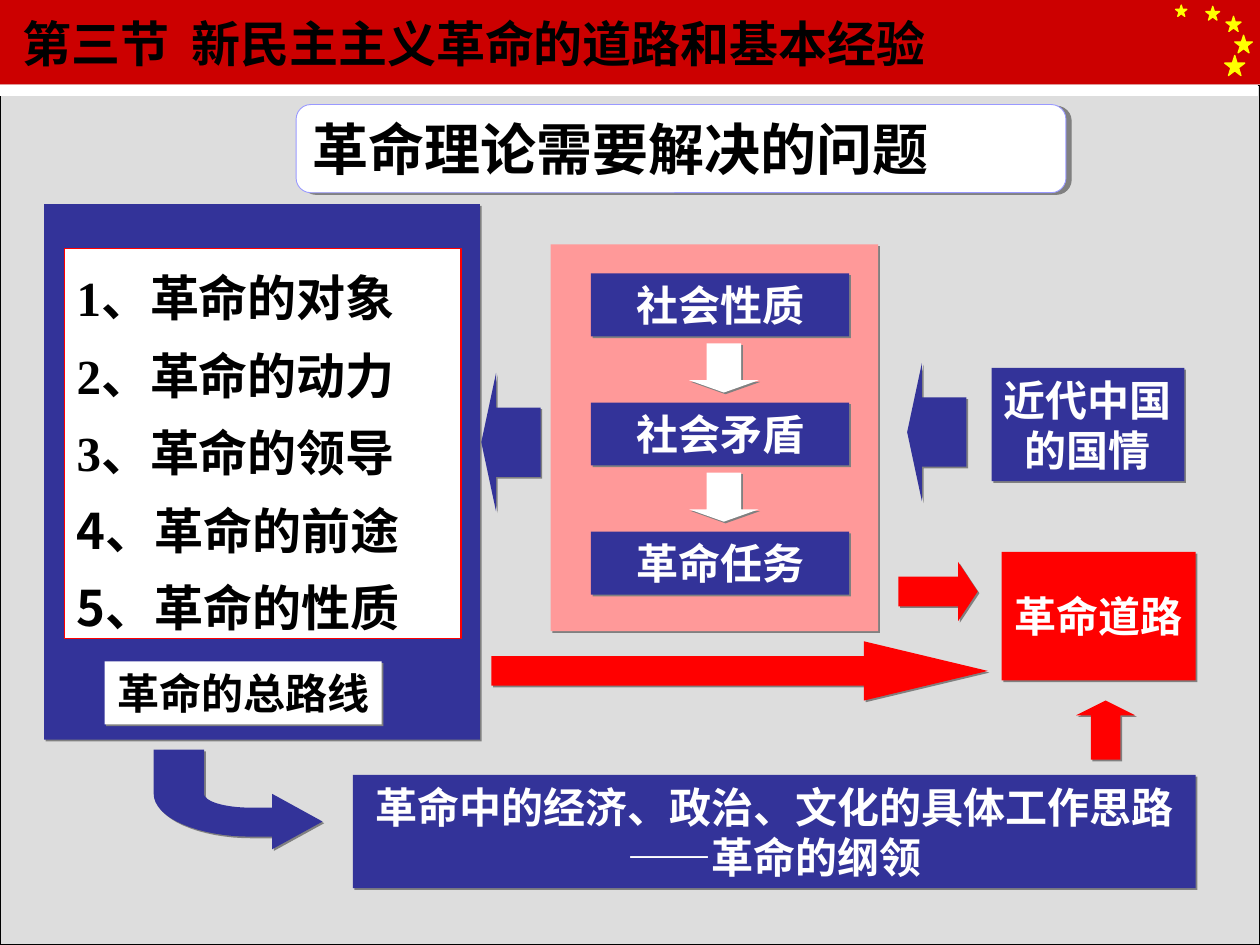
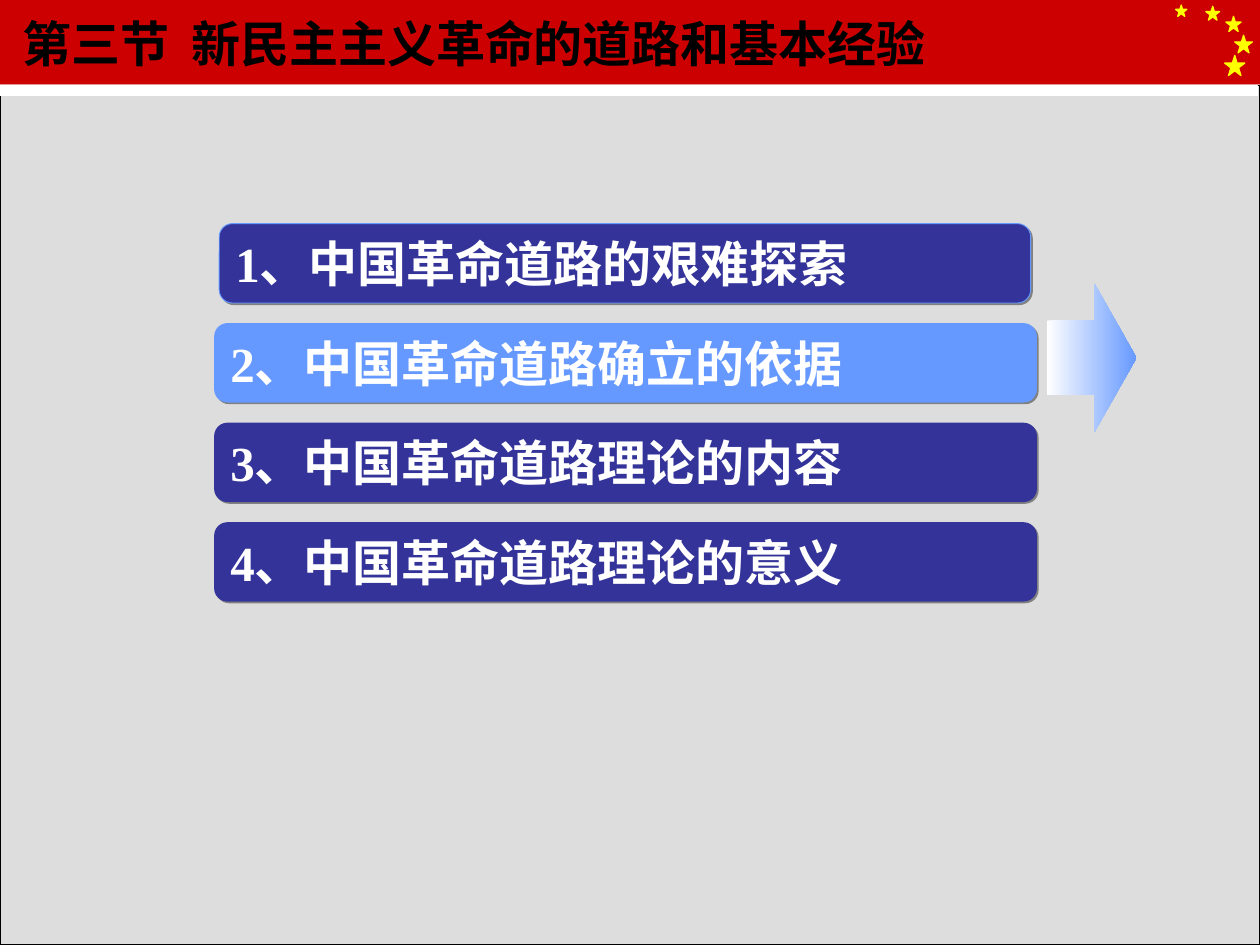
import math

import lxml.etree
import pptx
import pptx.dml.color
import pptx.enum.shapes
import pptx.enum.text
import pptx.oxml.ns
import pptx.util

COLORS = {
    "background": "EAEAEA", "panel": "DDDDDD", "band": "CC0000", "star": "FFFF00",
    "navy": "333399", "sky": "6699FF", "pink": "FF9999", "red": "FF0000",
    "lilac": "9999FF", "shadow": "808080", "white": "FFFFFF", "black": "000000",
}
RGB = {name: pptx.dml.color.RGBColor.from_string(value) for name, value in COLORS.items()}
LATIN, CHINESE = "Times New Roman", "Noto Sans CJK SC"
SHAPE = pptx.enum.shapes.MSO_SHAPE
ALIGN = pptx.enum.text.PP_ALIGN
SOFT = (1.4, 45)  # shadow distance in points, direction in degrees

presentation = pptx.Presentation()
presentation.slide_width = pptx.util.Inches(10)
presentation.slide_height = pptx.util.Inches(7.5)
COLUMN = presentation.slide_width / 100
ROW = presentation.slide_height / 75


def draw(slide, kind, box, fill, line=None, width=0.75, shadow=None, adjust=()):
    """Add a preset shape (or finish a given one); box is in columns and rows."""
    if box:
        left, top, wide, high = box
        shape = slide.shapes.add_shape(kind, int(left * COLUMN), int(top * ROW),
                                       int(wide * COLUMN), int(high * ROW))
    else:
        shape = kind
    for index, value in enumerate(adjust):
        shape.adjustments[index] = value
    shape.fill.solid()
    shape.fill.fore_color.rgb = RGB[fill]
    if line:
        shape.line.color.rgb = RGB[line]
        shape.line.width = pptx.util.Pt(width)
    else:
        shape.line.fill.background()
    shape.shadow.inherit = False
    if shadow:
        distance, degrees = shadow
        effects = shape._element.spPr.find(pptx.oxml.ns.qn("a:effectLst"))
        outer = lxml.etree.SubElement(
            effects, pptx.oxml.ns.qn("a:outerShdw"),
            dist=str(int(distance * 12700)), dir=str(degrees * 60000),
            algn="ctr", rotWithShape="0")
        lxml.etree.SubElement(outer, pptx.oxml.ns.qn("a:srgbClr"), val=COLORS["shadow"])
    return shape


def write(shape, lines, size, color, align=ALIGN.CENTER, anchor="MIDDLE", spacing=None,
          before=0, latin=LATIN):
    frame = shape.text_frame
    frame.word_wrap = align == ALIGN.LEFT
    frame.vertical_anchor = pptx.enum.text.MSO_ANCHOR[anchor]
    font_format = {"name": latin, "size": pptx.util.Pt(size), "bold": True}
    for index, line in enumerate(lines):
        paragraph = frame.add_paragraph() if index else frame.paragraphs[0]
        paragraph.alignment = align
        if spacing:
            paragraph.line_spacing = pptx.util.Pt(spacing)
        if index and before:
            paragraph.space_before = pptx.util.Pt(before)
        run = paragraph.add_run()
        run.text = line
        for name, value in font_format.items():
            setattr(run.font, name, value)
        run.font.color.rgb = RGB[color]
        east_asian = lxml.etree.SubElement(run.font._element, pptx.oxml.ns.qn("a:ea"))
        east_asian.set("typeface", CHINESE)


# Shared frame: band, stars, panel and section title
BANDS = [
    ((0, 0, 100, 6.7), "band", None),
    ((0, 6.8, 100, 68.2), "panel", "black"),
    ((0, 6.8, 99.8, 0.8), "white", "white"),
]
STARS = [(93.3, 0.4, 0.9), (95.7, 0.5, 1.1), (97.3, 1.3, 1.2), (98, 2.8, 1.4), (97.2, 4.4, 1.6)]

for number in range(2):
    slide = presentation.slides.add_slide(presentation.slide_layouts[6])
    slide.background.fill.solid()
    slide.background.fill.fore_color.rgb = RGB["background"]
    for box, fill, line in BANDS:
        draw(slide, SHAPE.RECTANGLE, box, fill, line)
    for left, top, size in STARS:
        draw(slide, SHAPE.STAR_5_POINT, (left, top, size, size), "star", "star")
    title = slide.shapes.add_textbox(int(0.8 * COLUMN), 0, int(78 * COLUMN), int(6.8 * ROW))
    write(title, ["第三节  新民主主义革命的道路和基本经验"], 28, "black", ALIGN.LEFT)

theory_slide, road_slide = presentation.slides

# Slide 1: questions a theory of revolution must solve
for box, fill in [((3.5, 16.2, 34.6, 42.5), "navy"), ((43.7, 19.4, 26, 30.7), "pink")]:
    draw(theory_slide, SHAPE.RECTANGLE, box, fill, shadow=SOFT)

heading = draw(theory_slide, SHAPE.ROUNDED_RECTANGLE, (23.5, 8.3, 61.1, 7), "white",
               "lilac", 0.5, (3.2, 18))
write(heading, ["革命理论需要解决的问题"], 32, "black", ALIGN.LEFT, latin=CHINESE)

STEP_TOP, STEP_PITCH = 21.7, 10.25
step_boxes = [
    ((46.9, STEP_TOP + index * STEP_PITCH, 20.5, 5), "navy", "white", [step])
    for index, step in enumerate(["社会性质", "社会矛盾", "革命任务"])
]
text_boxes = step_boxes + [
    ((78.7, 29.2, 15.3, 9), "navy", "white", ["近代中国", "的国情"]),
    ((28, 61.5, 66.9, 9), "navy", "white",
     ["革命中的经济、政治、文化的具体工作思路", "——革命的纲领"]),
    ((8.3, 52.5, 22, 5), "white", "black", ["革命的总路线"]),
    ((79.5, 43.8, 15.4, 10.2), "red", "white", ["革命道路"]),
]
for box, fill, color, lines in text_boxes:
    shape = draw(theory_slide, SHAPE.RECTANGLE, box, fill, shadow=SOFT)
    write(shape, lines, 24, color, spacing=28.6 if len(lines) > 1 else None)

step_arrows = [
    (SHAPE.DOWN_ARROW, (54.7, STEP_TOP + 5.55 + index * STEP_PITCH, 5.5, 3.9), "white", 0.25)
    for index in range(2)
]
arrows = step_arrows + [
    (SHAPE.LEFT_ARROW, (38.2, 29.6, 4.7, 11), "navy", 0.25),
    (SHAPE.LEFT_ARROW, (72, 28.8, 4.7, 11), "navy", 0.25),
    (SHAPE.RIGHT_ARROW, (39, 50.9, 39.4, 4.7), "red", 2.09),
    (SHAPE.RIGHT_ARROW, (71.3, 44.6, 6.3, 4.7), "red", 0.33),
    (SHAPE.UP_ARROW, (85.4, 55.6, 4.7, 4.7), "red", 0.25),
]
for kind, box, fill, head in arrows:
    draw(theory_slide, kind, box, fill, shadow=SOFT, adjust=(0.5, head))

# Bent arrow: two quarter ellipses around one centre, joined by the arrow head
CENTER_X, CENTER_Y, TURN_STEPS = 19.9, 63, 16
turns = [math.pi / 2 * index / TURN_STEPS for index in range(TURN_STEPS + 1)]
outer_bend, inner_bend = [
    [(CENTER_X - wide * math.cos(turn), CENTER_Y + high * math.sin(turn)) for turn in turns]
    for wide, high in [(7.7, 3.4), (3.7, 1.1)]
]
arrow_head = [(21.6, 66.4), (21.6, 67.4), (25.6, 65.2), (21.6, 63), (21.6, 64.1)]
outline = [(12.2, 59.5)] + outer_bend + arrow_head + inner_bend[::-1] + [(16.2, 59.5)]
points = [(column * COLUMN, row * ROW) for column, row in outline]
builder = theory_slide.shapes.build_freeform(*points[0])
builder.add_line_segments(points[1:], close=True)
draw(theory_slide, builder.convert_to_shape(), None, "navy", shadow=SOFT)

questions = draw(theory_slide, SHAPE.RECTANGLE, (5.1, 19.7, 31.5, 31), "white", "red")
questions.text_frame.margin_top = pptx.util.Inches(0.25)
write(questions, ["1、革命的对象", "2、革命的动力", "3、革命的领导", "4、革命的前途", "5、革命的性质"],
      28, "black", ALIGN.LEFT, "TOP", spacing=26.8, before=17.5)
for paragraph in questions.text_frame.paragraphs[3:]:
    paragraph.runs[0].font.name = CHINESE

# Slide 2: agenda with the second topic marked
topics = ["1、中国革命道路的艰难探索", "2、中国革命道路确立的依据",
          "3、中国革命道路理论的内容", "4、中国革命道路理论的意义"]
for index, topic in enumerate(topics):
    left, wide, line = (17.4, 64.4, "sky") if index == 0 else (17, 65.3, None)
    bar = draw(road_slide, SHAPE.ROUNDED_RECTANGLE, (left, 17.75 + 7.9 * index, wide, 6.3),
               "sky" if index == 1 else "navy", line, 0.5, SOFT)
    write(bar, [topic], 28, "white", ALIGN.LEFT)

pointer = draw(road_slide, SHAPE.RIGHT_ARROW, (83.1, 22.5, 7.1, 11.8), "sky", adjust=(0.5, 0.47))
pointer.fill.gradient()
pointer.fill.gradient_angle = 0
for stop, position, color in zip(pointer.fill.gradient_stops, (0, 1), ("white", "sky")):
    stop.position = position
    stop.color.rgb = RGB[color]

presentation.save("out.pptx")
